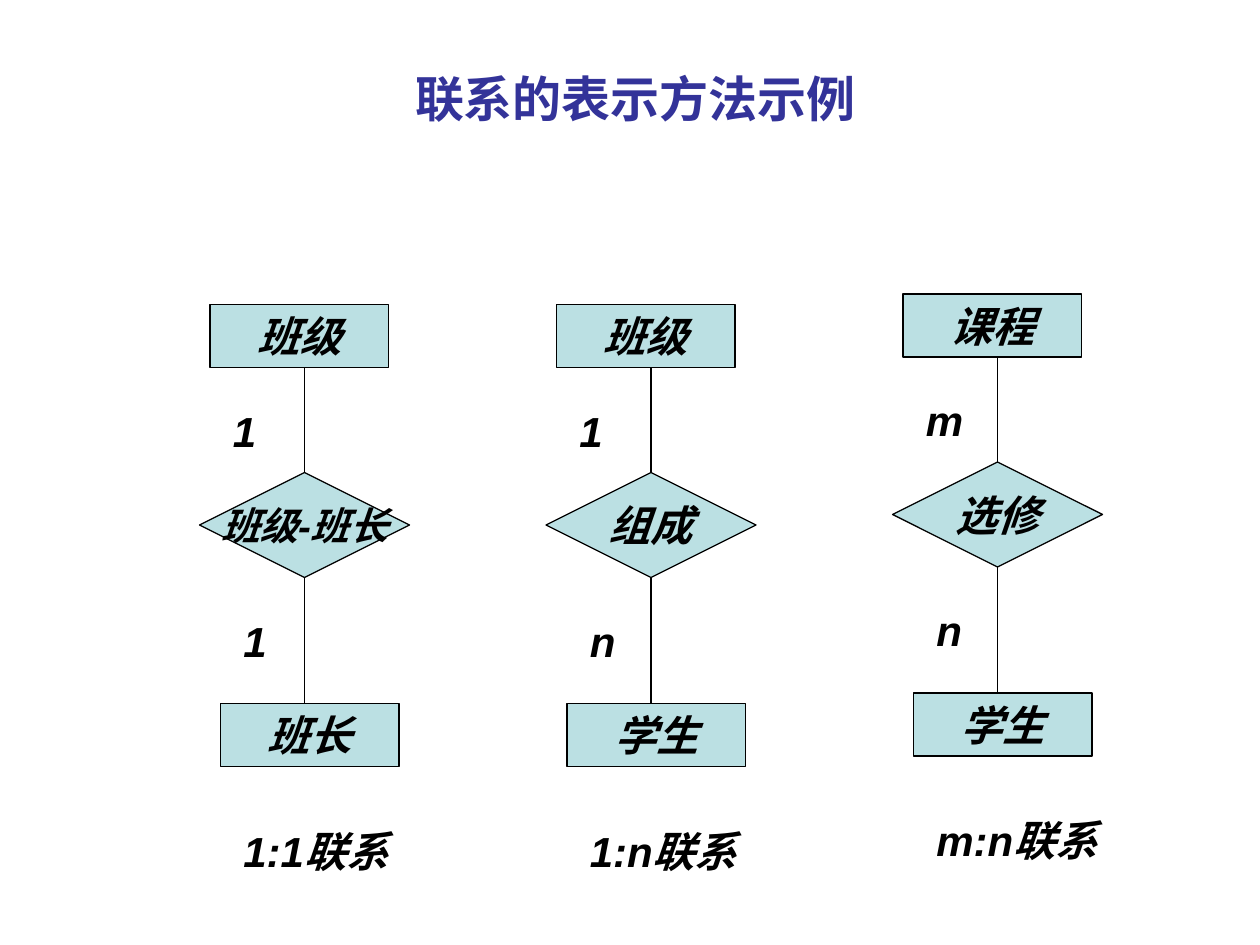
from pptx import Presentation
from pptx.dml.color import RGBColor
from pptx.enum.shapes import MSO_CONNECTOR, MSO_SHAPE
from pptx.enum.text import MSO_ANCHOR, MSO_AUTO_SIZE, PP_ALIGN
from pptx.oxml.ns import qn
from pptx.util import Pt
from lxml import etree

RECT, DIAMOND = MSO_SHAPE.RECTANGLE, MSO_SHAPE.DIAMOND
LINE = MSO_CONNECTOR.STRAIGHT
LEFT, CENTER = PP_ALIGN.LEFT, PP_ALIGN.CENTER
TOP, MIDDLE = MSO_ANCHOR.TOP, MSO_ANCHOR.MIDDLE
GROW, FIXED = MSO_AUTO_SIZE.SHAPE_TO_FIT_TEXT, MSO_AUTO_SIZE.NONE

BLACK = RGBColor(0x00, 0x00, 0x00)
BLUE = RGBColor(0x33, 0x33, 0x99)
PALE = RGBColor(0xBB, 0xE0, 0xE3)

PX = 7620  # 120 px to the inch
FONT = "Arial"
TITLE = "联系的表示方法示例"

# top y, upper entity, its count, relation, its size, lower count,
# lower entity, caption, caption height
CHARTS = [
    (290, "班级", "1", "班级-班长", 22, "1", "班长", "1:1联系", 60),
    (290, "班级", "1", "组成", 24, "n", "学生", "1:n联系", 60),
    (280, "课程", "m", "选修", 24, "n", "学生", "m:n联系", 108),
]
START, PITCH = 190, 330


def px(*nums):
    return [n * PX for n in nums]


def write(shape, text, size, color, align, anchor, italic=True):
    frame = shape.text_frame
    frame.vertical_anchor = anchor
    para = frame.paragraphs[0]
    para.alignment = align
    run = para.add_run()
    run.text = text
    font = run.font
    font.name, font.size, font.bold = FONT, Pt(size), True
    font.italic = italic
    font.color.rgb = color


def node(kind, box, text, size=24):
    shape = slide.shapes.add_shape(kind, *px(*box))
    shape.shadow.inherit = False
    shape.fill.solid()
    shape.fill.fore_color.rgb = PALE
    shape.line.color.rgb = BLACK
    shape.line.width = Pt(0.75)
    is_rect = kind == RECT
    write(shape, text, size, BLACK, CENTER, TOP if is_rect else MIDDLE)
    shape.text_frame.word_wrap = is_rect
    shape.text_frame.auto_size = GROW if is_rect else FIXED
    return shape


def label(box, text):
    shape = slide.shapes.add_textbox(*px(*box))
    write(shape, text, 24, BLACK, LEFT, TOP)
    shape.text_frame.word_wrap = True
    shape.text_frame.auto_size = GROW


def link(diamond, site, x, start, end):
    line = slide.shapes.add_connector(LINE, *px(x, start, x, end))
    line.begin_connect(diamond, site)
    line.line.color.rgb = BLACK
    line.line.width = Pt(0.75)
    etree.SubElement(line._element.spPr, qn("a:effectLst"))


deck = Presentation()
deck.slide_width, deck.slide_height = px(1200, 900)
slide = deck.slides.add_slide(deck.slide_layouts[5])

title = slide.shapes.title
title.left, title.top, title.width, title.height = px(120, 56, 970, 74)
write(title, TITLE, 28, BLUE, CENTER, MIDDLE, italic=False)
title.text_frame.auto_size = FIXED

for i, (y, upper, count, relation, size, total, lower, note, tall) in enumerate(CHARTS):
    x = START + i * PITCH
    node(RECT, (x + 10, y, 170, 60), upper)
    diamond = node(DIAMOND, (x, y + 160, 200, 100), relation, size)
    node(RECT, (x + 20, y + 380, 170, 60), lower)
    link(diamond, 0, x + 100, y + 160, y + 60)
    link(diamond, 2, x + 100, y + 260, y + 380)
    label((x + 20, y + 90, 50, 60), count)
    label((x + 30, y + 290, 50, 60), total)
    label((x + 30, y + 490, 180, tall), note)

deck.save("out.pptx")
